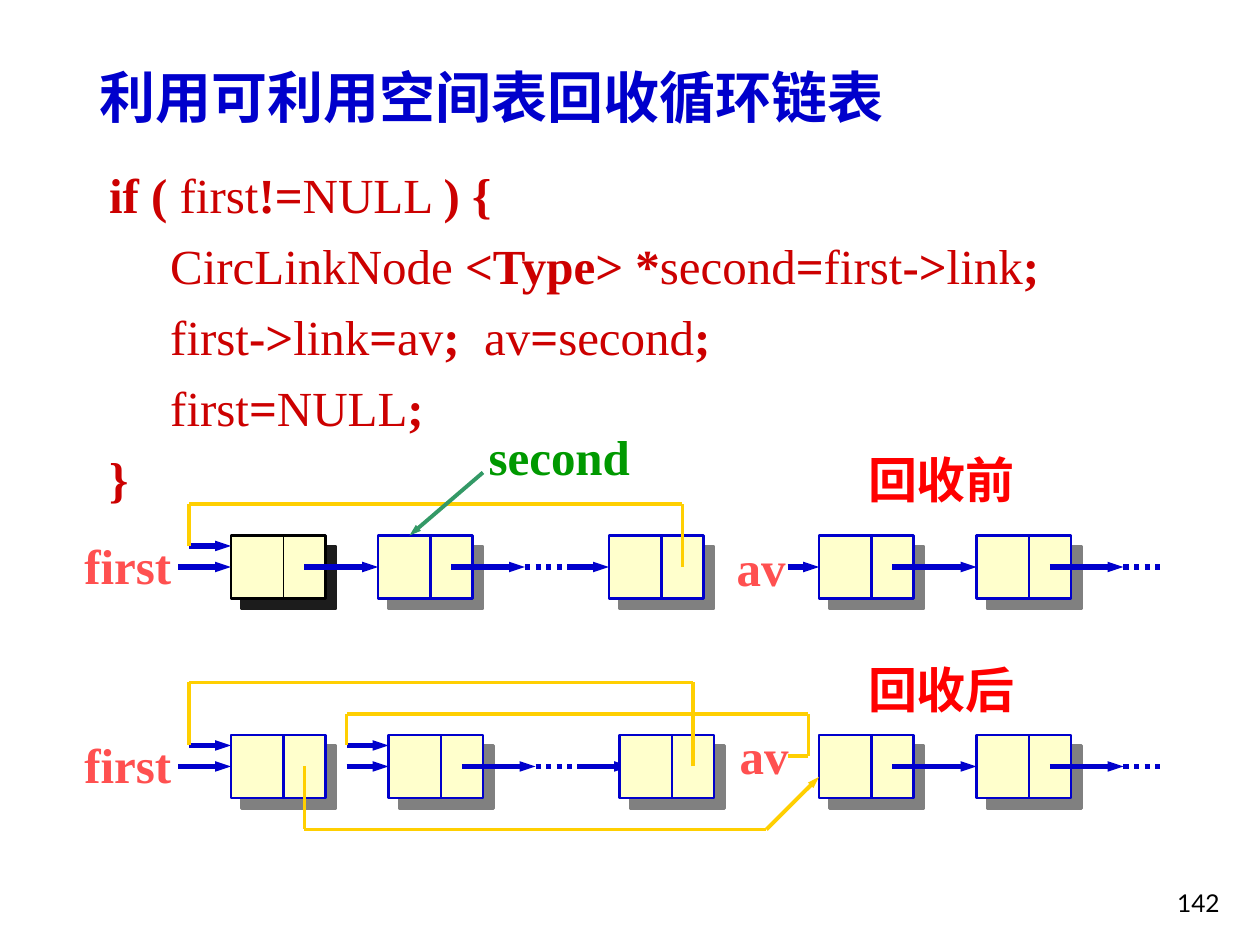
from itertools import pairwise

from lxml import etree
from pptx import Presentation
from pptx import util as u
from pptx.dml.color import RGBColor
from pptx.enum import dml, shapes, text
from pptx.oxml.ns import qn

COLORS = {
    "title": "0000CC", "code": "CC0000", "pointer": "FF5050", "stage": "FF0000",
    "second": "009900", "link": "0000CC", "loop": "FFCF01", "second_arrow": "339966",
    "node": "FFFFCC", "shadow": "808080", "black": "000000", "dark_shadow": "1C1C1C",
}
NODE_WIDTH, NODE_HEIGHT, DIVIDER = 9, 6, 5


def grid(steps):
    """Diagram lengths count in twelfths of an inch."""
    return u.Cm(steps * 2.54 / 12)


def rgb(name):
    return RGBColor.from_string(COLORS[name])


class ListSlide:
    def __init__(self, slide, font="Times New Roman", size=28):
        self.slide, self.font, self.size = slide, font, size
        self.entries = {}  # middle of a node's left side -> node

    def label(self, place, paragraphs, color, **style):
        """Each paragraph is a list of (words, bold) pairs."""
        frame = self.slide.shapes.add_textbox(*map(u.Cm, place)).text_frame
        margin_x, margin_y = style.get("margins", (0.25, 0.13))
        settings = {
            "word_wrap": style.get("wrap", False),
            "vertical_anchor": style.get("anchor", text.MSO_ANCHOR.TOP),
            "margin_left": u.Cm(margin_x), "margin_right": u.Cm(margin_x),
            "margin_top": u.Cm(margin_y), "margin_bottom": u.Cm(margin_y),
        }
        for key, value in settings.items():
            setattr(frame, key, value)
        for number, pieces in enumerate(paragraphs):
            paragraph = frame.add_paragraph() if number else frame.paragraphs[0]
            paragraph.alignment = style.get("align", text.PP_ALIGN.LEFT)
            if number:
                paragraph.space_before = u.Pt(7)
            for words, bold in pieces:
                run = paragraph.add_run()
                run.text = words
                look = {"name": style.get("font", self.font), "bold": bold,
                        "size": u.Pt(style.get("size", self.size))}
                for key, value in look.items():
                    setattr(run.font, key, value)
                run.font.color.rgb = rgb(color)

    def line(self, start, end, color="link", width=3, arrow=False, dotted=False):
        connector = self.slide.shapes.add_connector(
            shapes.MSO_CONNECTOR.STRAIGHT, *map(grid, (*start, *end)))
        connector.line.color.rgb = rgb(color)
        connector.line.width = u.Pt(width)
        if dotted:
            connector.line.dash_style = dml.MSO_LINE.ROUND_DOT
        if arrow:
            outline = connector._element.spPr.find(qn("a:ln"))
            etree.SubElement(outline, qn("a:tailEnd"), type="triangle", w="sm", len="med")
        etree.SubElement(connector._element.spPr, qn("a:effectLst"))
        if arrow and end in self.entries:
            connector.end_connect(self.entries[end], 1)

    def route(self, *points, arrow=False):
        """Yellow path through the points, with an arrowhead only at the last."""
        for start, end in pairwise(points):
            self.line(start, end, "loop", 2.25, arrow=arrow and end == points[-1])

    def node(self, left, top, outline="link", shadow="shadow", divider_width=1.5):
        box = self.slide.shapes.add_shape(
            shapes.MSO_SHAPE.RECTANGLE, *map(grid, (left, top, NODE_WIDTH, NODE_HEIGHT)))
        box.fill.solid()
        box.fill.fore_color.rgb = rgb("node")
        box.line.color.rgb = rgb(outline)
        box.line.width = u.Pt(1.5)
        box.shadow.inherit = False
        effects = box._element.spPr.find(qn("a:effectLst"))
        cast = etree.SubElement(effects, qn("a:outerShdw"), dist=str(u.Pt(8.5)),
                                dir="2700000", algn="ctr", rotWithShape="0")
        etree.SubElement(cast, qn("a:srgbClr"), val=COLORS[shadow])
        self.entries[left, top + NODE_HEIGHT // 2] = box
        split = left + DIVIDER
        self.line((split, top), (split, top + NODE_HEIGHT), outline, divider_width)

    def arrows(self, y, *spans):
        for start, end in spans:
            self.line((start, y), (end, y), arrow=True)

    def dots(self, y, *starts):
        for start in starts:
            self.line((start, y), (start + 4, y), dotted=True)


def code_line(source):
    """Pieces between bars alternate bold and regular, bold first."""
    return [(words, index % 2 == 0) for index, words in enumerate(source.split("|")) if words]


def main():
    deck = Presentation()
    deck.slide_width, deck.slide_height = u.Cm(25.4), u.Cm(19.05)
    page = ListSlide(deck.slides.add_slide(deck.slide_layouts[6]))

    page.label((1.7, 1.12, 16.8, 1.68), [[("利用可利用空间表回收循环链表", True)]], "title",
               size=32, margins=(0.3, 0.15), wrap=True)
    code = [
        "if ( |first|!=|NULL |) {",
        "     |CircLinkNode |<Type> *|second|=|first|->|link|;",
        "     |first|->|link|=|av|;  |av|=|second|;",
        "     |first|=|NULL|;",
        "}",
    ]
    page.label((1.9, 3.17, 22.86, 7.26), map(code_line, code), "code",
               margins=(0.3, 0.15), wrap=True)

    before, after = 51, 70
    before_mid, after_mid = before + 3, after + 3

    page.node(22, before, "black", "dark_shadow", 0.75)
    for left in (36, 58, 78, 93):
        page.node(left, before)
    page.arrows(before_mid, (17, 22), (29, 36), (43, 50), (54, 58), (75, 78), (85, 93), (100, 107))
    page.dots(before_mid, 50, 107)
    page.arrows(before + 1, (18, 22))
    page.route((65, before_mid), (65, 48), (18, 48), (18, before + 1))
    page.line((46, 45), (39, before), "second_arrow", 2.25, arrow=True)

    page.arrows(after_mid, (55, 60))  # runs under the last node of the list
    for left in (22, 37, 59, 78, 93):
        page.node(left, after)
    page.arrows(after_mid, (17, 22), (33, 37), (44, 51), (85, 93), (100, 107))
    page.dots(after_mid, 51, 107)
    page.arrows(after + 1, (18, 22), (33, 37))
    page.route((66, after_mid), (66, 65), (18, 65), (18, after + 1))
    page.route((75, 72), (77, 72), (77, 68), (33, 68), (33, after + 1))
    page.route((29, after_mid), (29, 79), (73, 79), (78, 74), arrow=True)

    labels = [
        ("first", "pointer", 1.45, 10.67, 2.26), ("av", "pointer", 14.6, 10.7, 1.5),
        ("first", "pointer", 1.45, 14.68, 2.26), ("av", "pointer", 14.66, 14.5, 1.5),
        ("回收前", "stage", 17.25, 8.94, 3.48), ("回收后", "stage", 17.25, 13.16, 3.48),
    ]
    for words, color, left, top, width in labels:
        page.label((left, top, width, 1.45), [[(words, True)]], color)
    page.label((9.6, 8.46, 3.35, 1.45), [[("second", True)]], "second",
               align=text.PP_ALIGN.CENTER, anchor=text.MSO_ANCHOR.MIDDLE)
    page.label((19.56, 17.35, 5.28, 1.27), [[("142", False)]], "black", font="Lato", size=14,
               align=text.PP_ALIGN.RIGHT, anchor=text.MSO_ANCHOR.BOTTOM, wrap=True)
    deck.save("out.pptx")


if __name__ == "__main__":
    main()
